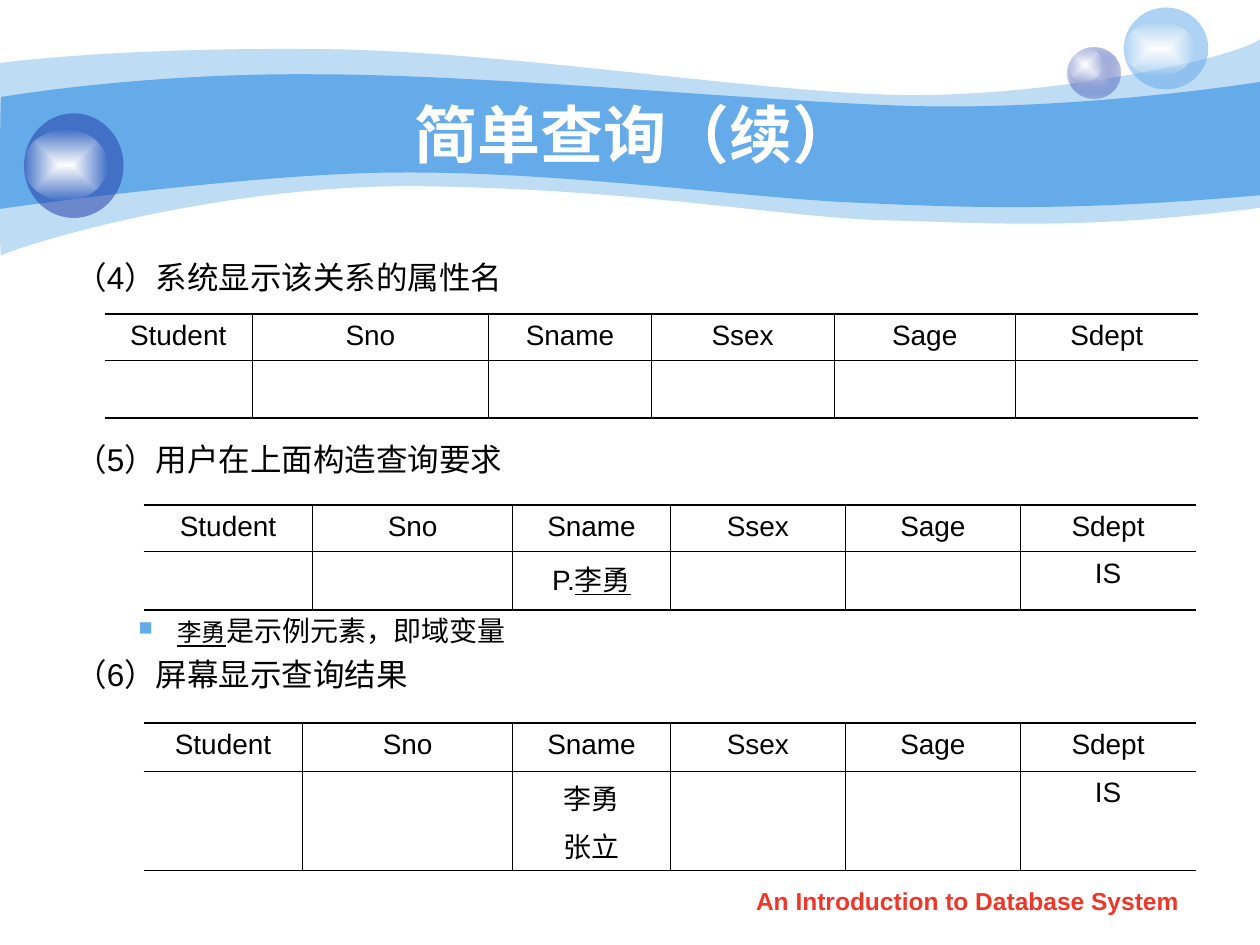
from lxml import etree
from pptx import Presentation
from pptx.dml.color import RGBColor
from pptx.enum.shapes import MSO_SHAPE as Shape
from pptx.enum.text import MSO_ANCHOR as Anchor, PP_ALIGN as Align
from pptx.oxml import parse_xml
from pptx.oxml.ns import nsdecls, qn
from pptx.util import Inches, Pt

COLORS = {
    "sky": "65AAE9", "navy": "233DA9", "lilac": "C6CCE8", "white": "FFFFFF",
    "glow": "FEFEFE", "text": "000000", "footer": "F03628",
}
FONT = "Arial"
COLUMNS = ["Student", "Sno", "Sname", "Ssex", "Sage", "Sdept"]
THIN, THICK = 0.45, 1.08

# Each wave is a start point followed by cubic segments; a short segment is a line.
PALE_WAVE = [
    (0, 0.5), (0.24, 0.47, 1.07, 0.38, 2.47, 0.39), (3.86, 0.39, 5.75, 0.7, 6.99, 0.75),
    (8.22, 0.8, 9.8, 0.47, 10, 0.31), (10, 1.65), (8.58, 1.83, 7.87, 1.77, 7.05, 1.75),
    (6.22, 1.73, 5.15, 1.51, 3.43, 1.48), (1.72, 1.44, 0.04, 1.99, 0.01, 2.03),
    (-0.01, 2.08, 0, 0.75, 0, 0.5),
]
BRIGHT_WAVE = [
    (0.01, 0.77), (0.02, 0.77, 1.1, 0.58, 2.48, 0.59), (3.86, 0.59, 5.95, 0.8, 7.18, 0.84),
    (8.41, 0.88, 9.76, 0.69, 10, 0.65), (10, 1.55), (8.53, 1.68, 7.65, 1.65, 6.82, 1.61),
    (5.99, 1.58, 4.47, 1.36, 3.17, 1.37), (2.03, 1.37, -0.02, 1.66, -0.01, 1.66),
    (0, 1.66, 0, 0.77, 0.01, 0.77),
]


def fill_solid(shape, color, alpha=100):
    shape.shadow.inherit = False
    shape.line.fill.background()
    shape.fill.solid()
    shape.fill.fore_color.rgb = RGBColor.from_string(COLORS[color])
    if alpha < 100:
        rgb = shape.fill._xPr.find(qn("a:solidFill"))[0]
        etree.SubElement(rgb, qn("a:alpha"), val=str(alpha * 1000))


def fill_glow(shape, inner, outer, outer_alpha):
    """Gradient from the centre to the edge."""
    fill_solid(shape, inner)
    solid = shape._element.spPr.find(qn("a:solidFill"))
    gradient = parse_xml(
        f'<a:gradFill {nsdecls("a")} rotWithShape="1"><a:gsLst>'
        f'<a:gs pos="0"><a:srgbClr val="{COLORS[inner]}"/></a:gs>'
        f'<a:gs pos="100000"><a:srgbClr val="{COLORS[outer]}">'
        f'<a:alpha val="{outer_alpha * 1000}"/></a:srgbClr></a:gs></a:gsLst>'
        '<a:path path="rect"><a:fillToRect l="50000" t="50000" r="50000" b="50000"/>'
        '</a:path></a:gradFill>')
    solid.getparent().replace(solid, gradient)


def add_wave(slide, outline, alpha):
    """Freeform whose three-point segments become cubic curves."""
    start, *segments = outline
    points = [(Inches(x), Inches(y)) for segment in segments
              for x, y in zip(segment[::2], segment[1::2])]
    builder = slide.shapes.build_freeform(Inches(start[0]), Inches(start[1]), scale=1.0)
    builder.add_line_segments(points, close=True)
    wave = builder.convert_to_shape()
    corners = iter(list(wave._element.iter(qn("a:lnTo"))))
    for segment in segments:
        first = next(corners)
        if len(segment) == 6:
            first.tag = qn("a:cubicBezTo")
            for corner in (next(corners), next(corners)):
                first.append(corner[0])
                corner.getparent().remove(corner)
    fill_solid(wave, "sky", alpha)


def add_balls(slide):
    small = (8.47, 0.38, 0.42, 0.4), (8.47, 0.38, 0.28, 0.27)
    light = (8.92, 0.06, 0.67, 0.65), (8.92, 0.17, 0.56, 0.43)
    dark = (0.19, 0.9, 0.79, 0.83), (0.19, 1.03, 0.66, 0.56)
    for boxes, color in ((small, None), (light, "sky"), (dark, "navy")):
        group = slide.shapes.add_group_shape()
        ball, shine = [group.shapes.add_shape(Shape.OVAL, *map(Inches, box)) for box in boxes]
        if color:
            fill_solid(ball, color, 53)
        else:
            fill_glow(ball, "lilac", "navy", 31)
        fill_glow(shine, "white", "glow", 0)


def add_run(paragraph, text, size, color="text", bold=False, underline=False):
    run = paragraph.add_run()
    run.text = text
    font = run.font
    font.name, font.size, font.bold = FONT, Pt(size), bold
    font.color.rgb = RGBColor.from_string(COLORS[color])
    if underline:
        font.underline = True


def add_text_frame(slide, *box, anchor=Anchor.TOP):
    frame = slide.shapes.add_textbox(*map(Inches, box)).text_frame
    frame.word_wrap = True
    frame.vertical_anchor = anchor
    return frame


def add_centred_line(slide, text, box, size, color, anchor):
    paragraph = add_text_frame(slide, *box, anchor=anchor).paragraphs[0]
    paragraph.alignment = Align.CENTER
    add_run(paragraph, text, size, color, bold=True)


def set_indent(paragraph, left, hanging):
    properties = paragraph._p.get_or_add_pPr()
    properties.set("marL", str(Inches(left)))
    properties.set("indent", str(-Inches(hanging)))
    return properties


def write_step(paragraph, text):
    set_indent(paragraph, 0.38, 0.38)
    add_run(paragraph, text, 18)


def write_example_note(paragraph):
    properties = set_indent(paragraph, 0.81, 0.31)
    properties.set("lvl", "1")
    bullet_color = etree.SubElement(properties, qn("a:buClr"))
    etree.SubElement(bullet_color, qn("a:srgbClr"), val=COLORS["sky"])
    etree.SubElement(properties, qn("a:buSzPct"), val="80000")
    etree.SubElement(properties, qn("a:buChar"), char="■")
    add_run(paragraph, "李勇", 14, underline=True)
    add_run(paragraph, "是示例元素，即域变量", 16)


def set_borders(cell, **widths):
    """Border widths in points by side (L, R, T, B); 0 hides a side."""
    properties = cell._tc.get_or_add_tcPr()
    for side in "LRTB":
        width = widths[side]
        line = etree.SubElement(properties, qn(f"a:ln{side}"), w=str(Pt(width)))
        if width:
            fill = etree.SubElement(line, qn("a:solidFill"))
            etree.SubElement(fill, qn("a:srgbClr"), val=COLORS["text"])
        else:
            etree.SubElement(line, qn("a:noFill"))


def write_cell(cell, lines):
    """Each line is a list of (text, underlined) pairs."""
    frame = cell.text_frame
    for index, line in enumerate(lines):
        paragraph = frame.add_paragraph() if index else frame.paragraphs[0]
        paragraph.alignment = Align.CENTER
        if index:
            paragraph.space_before = Pt(4)
        for text, underlined in line:
            add_run(paragraph, text, 16, underline=underlined)


def add_relation(slide, left, top, widths, heights, values):
    """Student relation: attribute names above one row of values by attribute."""
    table = slide.shapes.add_table(
        2, len(COLUMNS), Inches(left), Inches(top),
        Inches(sum(widths)), Inches(sum(heights))).table
    table.first_row = table.horz_banding = False
    for row, height in zip(table.rows, heights):
        row.height = Inches(height)
    last = len(COLUMNS) - 1
    for col, (name, width) in enumerate(zip(COLUMNS, widths)):
        table.columns[col].width = Inches(width)
        for row, lines in enumerate(([[(name, False)]], values.get(name, []))):
            cell = table.cell(row, col)
            set_borders(cell, L=THIN if col else 0, R=THIN if col < last else 0,
                        T=THIN if row else THICK, B=THICK if row else THIN)
            cell.fill.background()
            write_cell(cell, lines)


def main():
    prs = Presentation()
    prs.slide_width, prs.slide_height = Inches(10), Inches(7.5)
    slide = prs.slides.add_slide(prs.slide_layouts[6])

    add_wave(slide, PALE_WAVE, 41)
    add_wave(slide, BRIGHT_WAVE, 100)
    add_balls(slide)
    add_centred_line(slide, "简单查询（续）", (1, 0.75, 8.08, 0.62), 36, "white", Anchor.MIDDLE)

    attributes = add_text_frame(slide, 0.5, 2, 9.07, 4.92)
    write_step(attributes.paragraphs[0], "（4）系统显示该关系的属性名")
    add_relation(slide, 0.83, 2.49, [1.17, 1.88, 1.29, 1.45, 1.44, 1.45], [0.37, 0.46], {})

    query = add_text_frame(slide, 0.5, 3.44, 8.99, 2.22)
    write_step(query.paragraphs[0], "（5）用户在上面构造查询要求")
    example_note = query.add_paragraph()
    example_note.space_before = Pt(78)
    write_example_note(example_note)
    result_step = query.add_paragraph()
    result_step.space_before = Pt(4.5)
    write_step(result_step, "（6）屏幕显示查询结果")

    department = [[("IS", False)]]
    add_relation(slide, 1.14, 4.01, [1.34, 1.59, 1.25, 1.39, 1.39, 1.39], [0.37, 0.46],
                 {"Sname": [[("P.", False), ("李勇", True)]], "Sdept": department})
    add_relation(slide, 1.14, 5.74, [1.26, 1.67, 1.25, 1.39, 1.39, 1.39], [0.38, 0.79],
                 {"Sname": [[("李勇", False)], [("张立", False)]], "Sdept": department})

    add_centred_line(slide, "An Introduction to Database System",
                     (5.71, 6.98, 3.94, 0.35), 14, "footer", Anchor.TOP)
    prs.save("out.pptx")


if __name__ == "__main__":
    main()
